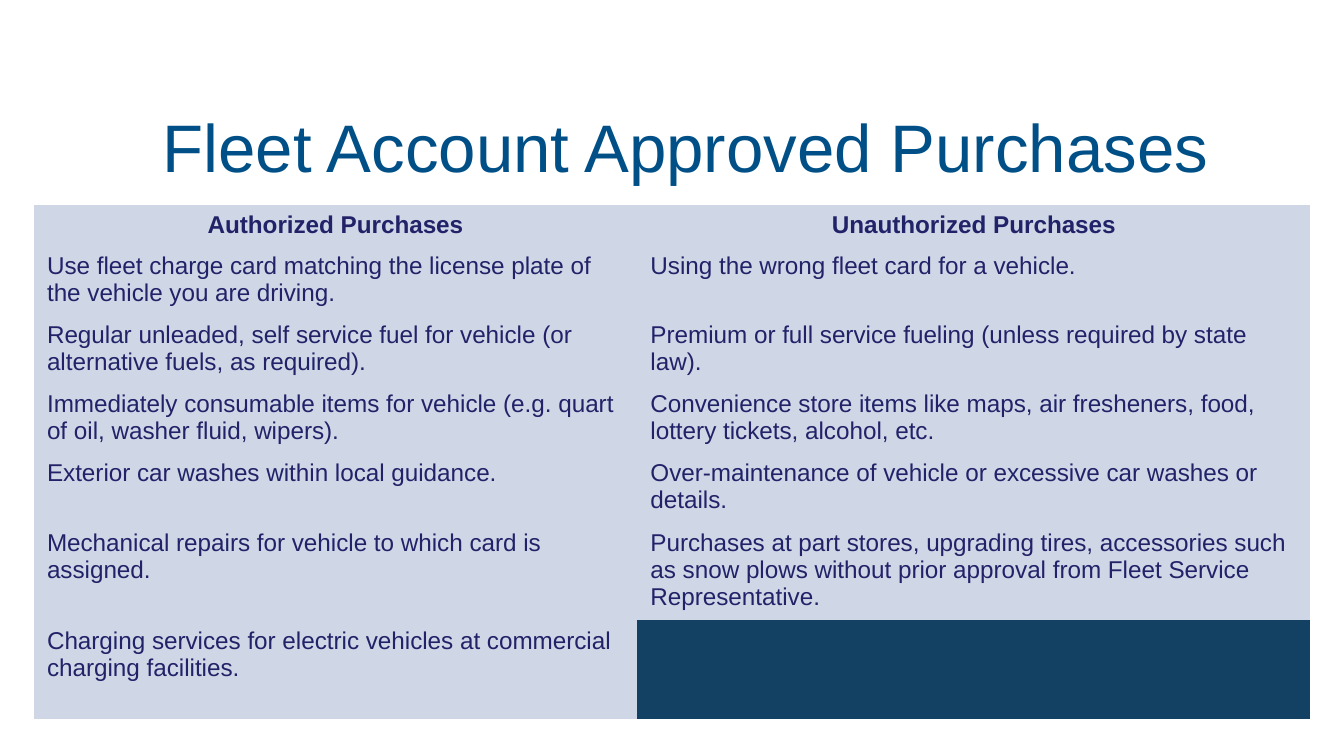
import pptx
import pptx.dml.color
import pptx.enum.text
import pptx.oxml
import pptx.oxml.ns
import pptx.util

RGBColor = pptx.dml.color.RGBColor
ALIGN = pptx.enum.text.PP_ALIGN
ANCHOR = pptx.enum.text.MSO_ANCHOR

TITLE_BLUE = RGBColor(0x00, 0x50, 0x87)
TEXT_NAVY = RGBColor(0x22, 0x22, 0x68)
CELL_FILL = RGBColor(0xCF, 0xD7, 0xE7)
EMPTY_FILL = RGBColor(0x13, 0x41, 0x63)

EMU_PER_PX = 4572

HEADINGS = ("Authorized Purchases", "Unauthorized Purchases")
PURCHASES = [
    ("Use fleet charge card matching the license plate of the vehicle you are driving.",
     "Using the wrong fleet card for a vehicle."),
    ("Regular unleaded, self service fuel for vehicle (or alternative fuels, as required).",
     "Premium or full service fueling (unless required by state law)."),
    ("Immediately consumable items for vehicle (e.g. quart of oil, washer fluid, wipers).",
     "Convenience store items like maps, air fresheners, food, lottery tickets, alcohol, etc."),
    ("Exterior car washes within local guidance.",
     "Over-maintenance of vehicle or excessive car washes or details."),
    ("Mechanical repairs for vehicle to which card is assigned.",
     "Purchases at part stores, upgrading tires, accessories such as snow plows "
     "without prior approval from Fleet Service Representative."),
    ("Charging services for electric vehicles at commercial charging facilities.", ""),
]
COLUMN_WIDTHS = (898, 1002)
ROW_HEIGHTS = (60, 103, 103, 103, 103, 146, 146)


def px(length):
    return pptx.util.Emu(length * EMU_PER_PX)


def write_text(text_frame, text, size, color, bold=False, align=ALIGN.LEFT):
    paragraph = text_frame.paragraphs[0]
    paragraph.alignment = align
    run = paragraph.add_run()
    run.text = text
    run.font.name = "Arial"
    run.font.size = pptx.util.Pt(size)
    run.font.bold = bold
    run.font.color.rgb = color


class SlideBuilder:
    def __init__(self, slide):
        self.slide = slide
        self.title_size = 36
        self.cell_size = 13

    def title(self, text, left, top, width, height):
        shape = self.slide.shapes.title
        shape.left, shape.top = px(left), px(top)
        shape.width, shape.height = px(width), px(height)
        shape.text_frame.vertical_anchor = ANCHOR.TOP
        write_text(shape.text_frame, text, self.title_size, TITLE_BLUE)

    def cell(self, cell, text, heading):
        cell.fill.solid()
        cell.fill.fore_color.rgb = CELL_FILL if text else EMPTY_FILL
        properties = cell._tc.get_or_add_tcPr()
        for index, side in enumerate(("lnL", "lnR", "lnT", "lnB")):
            border = pptx.oxml.parse_xml(
                f'<a:{side} {pptx.oxml.ns.nsdecls("a")} w="0"><a:noFill/></a:{side}>')
            properties.insert(index, border)
        if text:
            write_text(cell.text_frame, text, self.cell_size, TEXT_NAVY, bold=heading,
                       align=ALIGN.CENTER if heading else ALIGN.LEFT)

    def table(self, rows, left, top, widths, heights):
        table = self.slide.shapes.add_table(
            len(rows), len(widths), px(left), px(top),
            px(sum(widths)), px(sum(heights))).table
        table.first_row = False
        table.horz_banding = False
        for column, width in zip(table.columns, widths):
            column.width = px(width)
        for row, height in zip(table.rows, heights):
            row.height = px(height)
        for row_index, texts in enumerate(rows):
            for column_index, text in enumerate(texts):
                self.cell(table.cell(row_index, column_index), text, row_index == 0)


def main():
    presentation = pptx.Presentation()
    presentation.slide_width = px(2000)
    presentation.slide_height = px(1125)
    slide = presentation.slides.add_slide(presentation.slide_layouts[5])
    builder = SlideBuilder(slide)
    builder.title("Fleet Account Approved Purchases", 222, 146, 1800, 168)
    builder.table([HEADINGS, *PURCHASES], 50, 305, COLUMN_WIDTHS, ROW_HEIGHTS)
    presentation.save("out.pptx")


if __name__ == "__main__":
    main()
